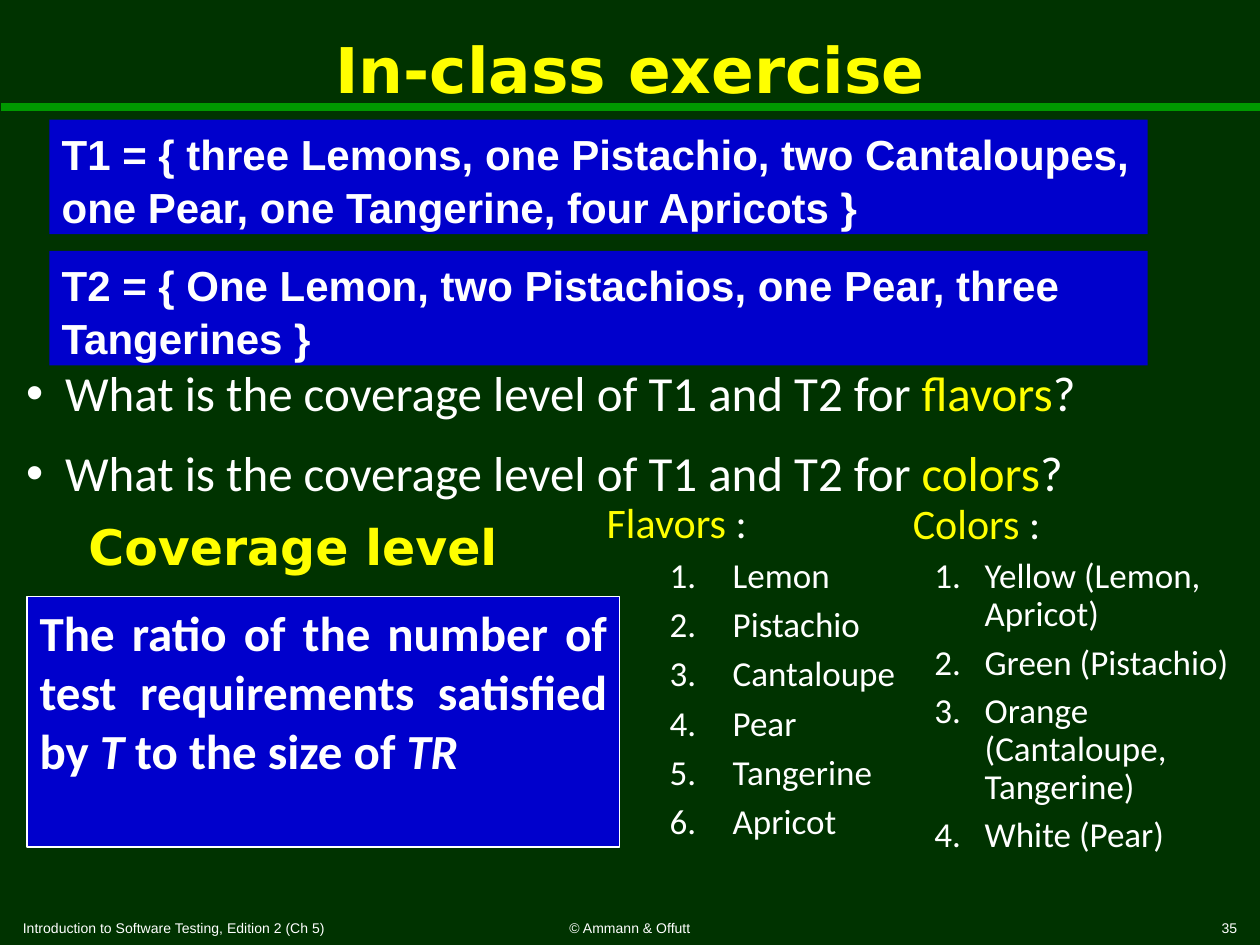
from dataclasses import dataclass

from lxml import etree
from pptx import Presentation
from pptx import util as u
from pptx.dml.color import RGBColor
from pptx.enum import shapes, text
from pptx.oxml.ns import qn


@dataclass(frozen=True)
class Theme:
    ground: str = "003300"
    rule: str = "009900"
    panel: str = "0000CC"
    plain: str = "FFFFFF"
    accent: str = "FFFF00"
    heading_font: str = "DejaVu Sans"
    body_font: str = "Calibri"
    label_font: str = "Arial"
    title: int = 36
    body: int = 28
    label: int = 24
    item: int = 20
    footer: int = 8


theme = Theme()
LEFT, CENTER, RIGHT, JUSTIFY = (
    text.PP_ALIGN.LEFT, text.PP_ALIGN.CENTER, text.PP_ALIGN.RIGHT, text.PP_ALIGN.JUSTIFY)

deck = Presentation()
deck.slide_width, deck.slide_height = u.Inches(10), u.Inches(7.5)
slide = deck.slides.add_slide(deck.slide_layouts[6])
slide.background.fill.solid()
slide.background.fill.fore_color.rgb = RGBColor.from_string(theme.ground)

# Grid of 120 columns by 90 rows
COLUMN, ROW = deck.slide_width / 120, deck.slide_height / 90


def place(left, top, width, height, fill=None, line=None, anchor=text.MSO_ANCHOR.TOP):
    """Add a text box, or a filled rectangle, at a grid position."""
    area = [int(n) for n in (left * COLUMN, top * ROW, width * COLUMN, height * ROW)]
    if fill:
        box = slide.shapes.add_shape(shapes.MSO_SHAPE.RECTANGLE, *area)
        box.shadow.inherit = False
        box.fill.solid()
        box.fill.fore_color.rgb = RGBColor.from_string(fill)
        if line:
            box.line.color.rgb = RGBColor.from_string(line)
            box.line.width = u.Pt(1)
        else:
            box.line.fill.background()
    else:
        box = slide.shapes.add_textbox(*area)
    box.text_frame.word_wrap = True
    box.text_frame.vertical_anchor = anchor
    return box


def write(box, *spans, font=theme.body_font, size=theme.body, color=theme.plain, bold=False,
          align=LEFT, spacing=1.0, before=0, level=0, margin=0, hanging=0, bullet=None):
    """Add a paragraph; a span is a string or (string, its own font settings)."""
    frame = box.text_frame
    first = not frame.paragraphs[0].runs
    para = frame.paragraphs[0] if first else frame.add_paragraph()
    para.alignment, para.line_spacing, para.level = align, spacing, level
    para.space_before = u.Pt(0 if first else before)
    properties = para._p.get_or_add_pPr()
    properties.set("marL", str(u.Inches(margin)))
    properties.set("indent", str(u.Inches(-hanging)))
    if bullet == "number":
        etree.SubElement(properties, qn("a:buAutoNum"), type="arabicPeriod")
    elif bullet:
        etree.SubElement(properties, qn("a:buFont"), typeface="Arial")
        etree.SubElement(properties, qn("a:buChar"), char=bullet)
    for entry in spans:
        words, own = (entry, {}) if isinstance(entry, str) else entry
        span = para.add_run()
        span.text = words
        span.font.name, span.font.size, span.font.bold = font, u.Pt(size), bold
        span.font.italic = own.get("italic", False)
        span.font.color.rgb = RGBColor.from_string(own.get("color", color))


accent, italic = {"color": theme.accent}, {"italic": True}

# Rule under the title
rule = slide.shapes.add_connector(
    shapes.MSO_CONNECTOR.STRAIGHT, int(0.1 * COLUMN), int(10.2 * ROW),
    deck.slide_width, int(10.2 * ROW))
rule.line.color.rgb = RGBColor.from_string(theme.rule)
rule.line.width = u.Pt(4.5)
etree.SubElement(rule._element.spPr, qn("a:effectLst"))

# Headings
for words, area, size in (
    ("In-class exercise", (1, 1, 118, 11), theme.title),
    ("Coverage level", (-3.4, 46, 62.6, 12), theme.body),
):
    write(place(*area, anchor=text.MSO_ANCHOR.MIDDLE), words, font=theme.heading_font,
          size=size, color=theme.accent, bold=True, align=CENTER)

# Footer
for words, left, width, align in (
    ("Introduction to Software Testing, Edition 2 (Ch 5)", 1, 35, LEFT),
    ("© Ammann & Offutt", 41, 38, CENTER),
    ("35", 94, 25, RIGHT),
):
    write(place(left, 87, width, 3), words, font=theme.label_font, size=theme.footer, align=align)

# Test sets
for top, words in (
    (11.4, "T1 = { three Lemons, one Pistachio, two Cantaloupes, "
           "one Pear, one Tangerine, four Apricots }"),
    (23.9, "T2 = { One Lemon, two Pistachios, one Pear, three Tangerines }"),
):
    write(place(4.7, top, 104.6, 10.9, fill=theme.panel), words,
          font=theme.label_font, size=theme.label, bold=True, spacing=1.05)

# Questions
for top, topic in ((34.6, "flavors"), (42.2, "colors")):
    write(place(1.3, top, 117.7, 7.5), "What is the coverage level of T1 and T2 for ",
          (topic, accent), "?", spacing=0.9, margin=0.31, hanging=0.31, bullet="•")

# Definition
definition = place(2.6, 56.8, 56.4, 23.9, fill=theme.panel, line=theme.plain)
write(definition, "The ratio of the number of test requirements satisfied by ", ("T", italic),
      " to the size of ", ("TR", italic), bold=True, align=JUSTIFY)

# Numbered lists
flavors = ("Lemon", "Pistachio", "Cantaloupe", "Pear", "Tangerine", "Apricot")
colors = ("Yellow (Lemon, Apricot)", "Green (Pistachio)",
          "Orange (Cantaloupe, Tangerine)", "White (Pear)")
for heading, items, area, inset, margin, hanging, spacing, before in (
    ("Flavors", flavors, (56.6, 46.7, 58.2, 41.6), 0, 1, 0.5, 1.0, 4),
    ("Colors", colors, (83, 47.3, 38, 41.6), 0.23, 0.8, 0.4, 0.9, 6),
):
    box = place(*area)
    write(box, (heading, accent), " :", size=theme.label, spacing=spacing, margin=inset)
    for item in items:
        write(box, item, size=theme.item, spacing=spacing, before=before, level=1,
              margin=margin, hanging=hanging, bullet="number")

deck.save("out.pptx")
